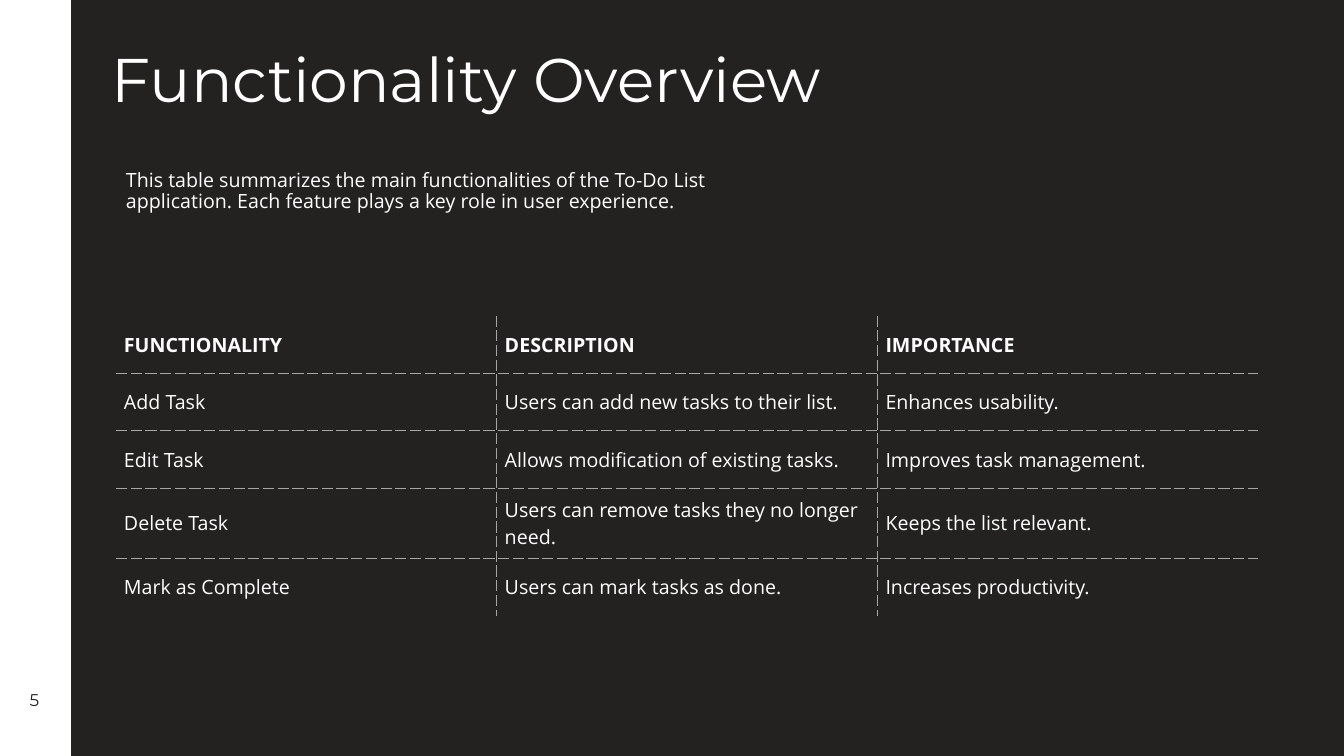
"""Build the Functionality Overview slide with its summary table."""
from dataclasses import dataclass

from lxml.etree import SubElement
from pptx import Presentation
from pptx.dml.color import RGBColor
from pptx.enum.shapes import MSO_CONNECTOR, MSO_SHAPE
from pptx.enum.text import MSO_ANCHOR, MSO_AUTO_SIZE, PP_ALIGN
from pptx.oxml.ns import qn
from pptx.util import Pt


@dataclass(frozen=True)
class Theme:
    dark: str = "232220"
    white: str = "FFFFFF"
    rule: str = "A6A6A6"
    title_font: str = "Montserrat"
    body_font: str = "Open Sans"
    title_size: float = 44
    body_size: float = 14
    number_size: float = 12.1


theme = Theme()


def add_text(frame, text, font_name, size, color, bold=False):
    paragraph = frame.paragraphs[0]
    run = paragraph.add_run()
    run.text = text
    run.font.name = font_name
    run.font.size = Pt(size)
    run.font.bold = bold
    run.font.color.rgb = RGBColor.from_string(color)
    return paragraph


def set_border(cell, side, visible):
    line = SubElement(cell._tc.get_or_add_tcPr(), qn(f"a:ln{side}"), w=str(Pt(1)))
    if visible:
        fill = SubElement(line, qn("a:solidFill"))
        SubElement(fill, qn("a:srgbClr"), val=theme.rule)
        SubElement(line, qn("a:prstDash"), val="sysDash")
    else:
        SubElement(line, qn("a:noFill"))


presentation = Presentation()
presentation.slide_width = Pt(960)
presentation.slide_height = Pt(540)
slide = presentation.slides.add_slide(presentation.slide_layouts[1])
slide.background.fill.solid()
slide.background.fill.fore_color.rgb = RGBColor.from_string(theme.dark)

band = slide.shapes.add_shape(MSO_SHAPE.RECTANGLE, 0, 0, Pt(49.7), Pt(540))
band.shadow.inherit = False
band.fill.solid()
band.fill.fore_color.rgb = RGBColor.from_string(theme.white)
band.line.fill.background()

band_edge = slide.shapes.add_connector(
    MSO_CONNECTOR.STRAIGHT, Pt(50), 0, Pt(50), Pt(540))
band_edge.line.color.rgb = RGBColor.from_string(theme.white)
band_edge.line.width = Pt(1.5)
SubElement(band_edge._element.spPr, qn("a:effectLst"))

title = slide.shapes.title
title.left, title.top, title.width, title.height = Pt(74.2), Pt(23.8), Pt(810.7), Pt(67)
title_frame = title.text_frame
title_frame.auto_size = MSO_AUTO_SIZE.NONE
title_frame.vertical_anchor = MSO_ANCHOR.TOP
title_frame.margin_left = title_frame.margin_top = Pt(5.76)
paragraph = add_text(title_frame, "Functionality Overview",
                     theme.title_font, theme.title_size, theme.white)
paragraph.alignment = PP_ALIGN.LEFT

summary = slide.placeholders[1]
summary.left, summary.top, summary.width, summary.height = Pt(82.8), Pt(105.8), Pt(475.2), Pt(62)
summary.text_frame.auto_size = MSO_AUTO_SIZE.NONE
summary.text_frame.vertical_anchor = MSO_ANCHOR.MIDDLE
paragraph = add_text(
    summary.text_frame,
    "This table summarizes the main functionalities of the To-Do List application. "
    "Each feature plays a key role in user experience.",
    theme.body_font, theme.body_size, theme.white)
paragraph.line_spacing = 0.9
paragraph.space_before = Pt(0)
properties = paragraph._p.get_or_add_pPr()
properties.set("marL", "0")
properties.set("indent", "0")
SubElement(properties, qn("a:buNone"))

rows = [
    ("FUNCTIONALITY", "DESCRIPTION", "IMPORTANCE"),
    ("Add Task", "Users can add new tasks to their list.", "Enhances usability."),
    ("Edit Task", "Allows modification of existing tasks.", "Improves task management."),
    ("Delete Task", "Users can remove tasks they no longer need.", "Keeps the list relevant."),
    ("Mark as Complete", "Users can mark tasks as done.", "Increases productivity."),
]
row_heights = [41.2, 41.2, 41.2, 45.4, 41.2]
last_row, last_column = len(rows) - 1, len(rows[0]) - 1
table = slide.shapes.add_table(
    len(rows), len(rows[0]), Pt(82.8), Pt(225.4), Pt(816), Pt(sum(row_heights))).table
table.first_row = False
table.horz_banding = False
for column in table.columns:
    column.width = Pt(272)

for row_index, texts in enumerate(rows):
    table.rows[row_index].height = Pt(row_heights[row_index])
    for column_index, text in enumerate(texts):
        cell = table.cell(row_index, column_index)
        cell.vertical_anchor = MSO_ANCHOR.MIDDLE
        cell.margin_left = cell.margin_right = Pt(5.76)
        cell.margin_top = cell.margin_bottom = Pt(5.76)
        add_text(cell.text_frame, text, theme.body_font, theme.body_size,
                 theme.white, bold=row_index == 0)
        set_border(cell, "L", column_index > 0)
        set_border(cell, "R", column_index < last_column)
        set_border(cell, "T", row_index > 0)
        set_border(cell, "B", row_index < last_row)
        cell.fill.background()

page_number = slide.shapes.add_textbox(0, Pt(486), Pt(49), Pt(28))
page_number.text_frame.word_wrap = True
page_number.text_frame.vertical_anchor = MSO_ANCHOR.MIDDLE
paragraph = add_text(page_number.text_frame, "5", theme.title_font,
                     theme.number_size, theme.dark)
paragraph.alignment = PP_ALIGN.CENTER

presentation.save("out.pptx")
